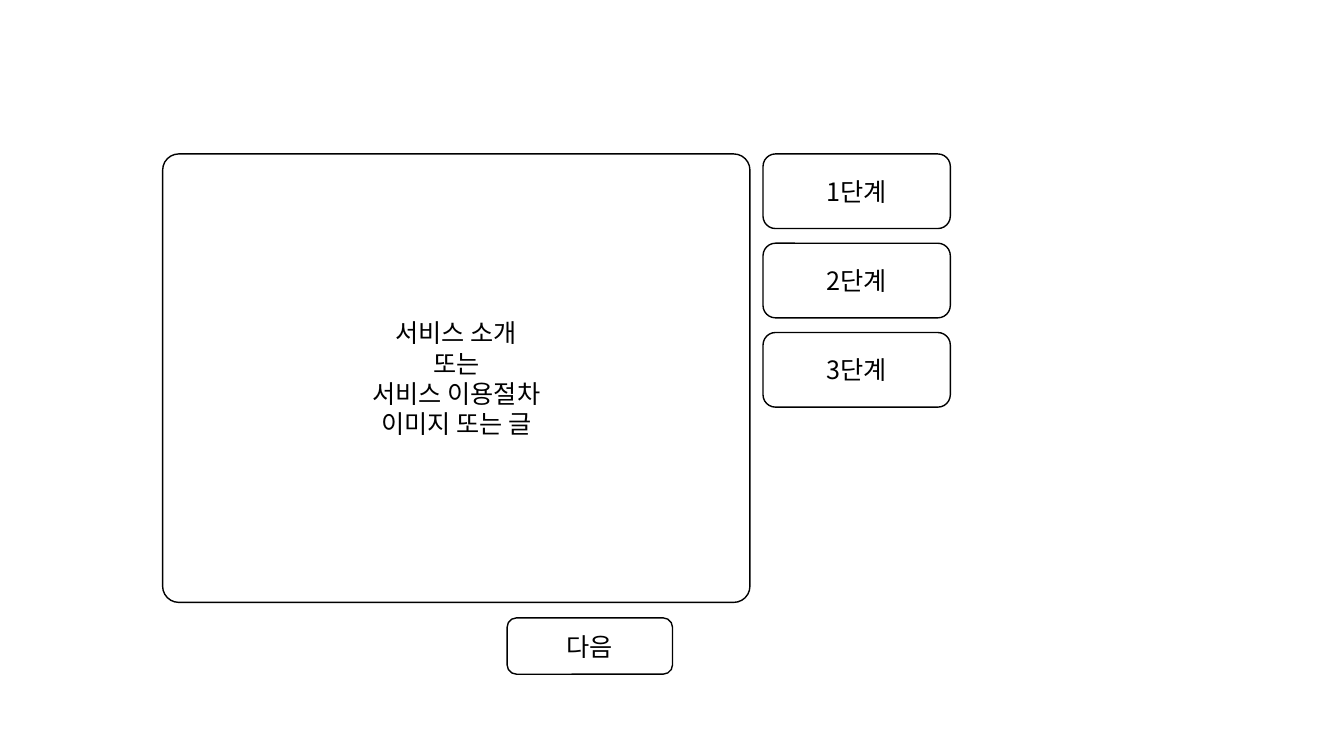
from dataclasses import dataclass

from lxml.etree import SubElement
from pptx import Presentation
from pptx.dml.color import RGBColor
from pptx.enum.shapes import MSO_SHAPE
from pptx.enum.text import MSO_ANCHOR, PP_ALIGN
from pptx.oxml.ns import qn
from pptx.util import Cm, Pt


@dataclass(frozen=True)
class Theme:
    """Colours, font and sizes of the wireframe."""

    font: str = "Noto Sans CJK KR"
    ink: RGBColor = RGBColor(0x00, 0x00, 0x00)
    paper: RGBColor = RGBColor(0xFF, 0xFF, 0xFF)
    text_size: int = 18
    line_width: int = 1


def write_text(frame, text, *, font, size, color, align=PP_ALIGN.CENTER):
    """Fill a text frame with one paragraph per line of text."""
    frame.word_wrap = True
    frame.vertical_anchor = MSO_ANCHOR.MIDDLE
    for index, line in enumerate(text.split("\n")):
        para = frame.add_paragraph() if index else frame.paragraphs[0]
        para.alignment = align
        span = para.add_run()
        span.text = line
        span.font.name = font
        span.font.size = Pt(size)
        span.font.color.rgb = color
        SubElement(span._r.get_or_add_rPr(), qn("a:ea"), typeface=font)


class Wireframe:
    """Draws the elements of a page in one style."""

    def __init__(self, page, theme):
        """Keep the page and its style."""
        self.page = page
        self.theme = theme

    def rounded_box(self, text, left, top, width, height, corner=0.167):
        """Add an outlined rounded box with centred text, in centimetres."""
        theme = self.theme
        box = self.page.shapes.add_shape(
            MSO_SHAPE.ROUNDED_RECTANGLE, Cm(left), Cm(top), Cm(width), Cm(height)
        )
        box.adjustments[0] = corner
        box.shadow.inherit = False
        box.fill.solid()
        box.fill.fore_color.rgb = theme.paper
        box.line.color.rgb = theme.ink
        box.line.width = Pt(theme.line_width)
        write_text(box.text_frame, text, font=theme.font, size=theme.text_size, color=theme.ink)


def main():
    """Build the service introduction page."""
    deck = Presentation()
    deck.slide_width, deck.slide_height = Cm(33.87), Cm(19.05)
    page = deck.slides.add_slide(deck.slide_layouts[6])
    wireframe = Wireframe(page, Theme())

    top = 3.88
    introduction = "서비스 소개\n또는\n서비스 이용절차\n이미지 또는 글"
    wireframe.rounded_box(introduction, 4.1, top, 14.8, 11.3, corner=0.036)

    step_pitch = 2.25
    for index in range(3):
        wireframe.rounded_box(f"{index + 1}단계", 19.23, top + index * step_pitch, 4.72, 1.88)

    wireframe.rounded_box("다음", 12.78, 15.57, 4.17, 1.42)
    deck.save("out.pptx")


if __name__ == "__main__":
    main()
